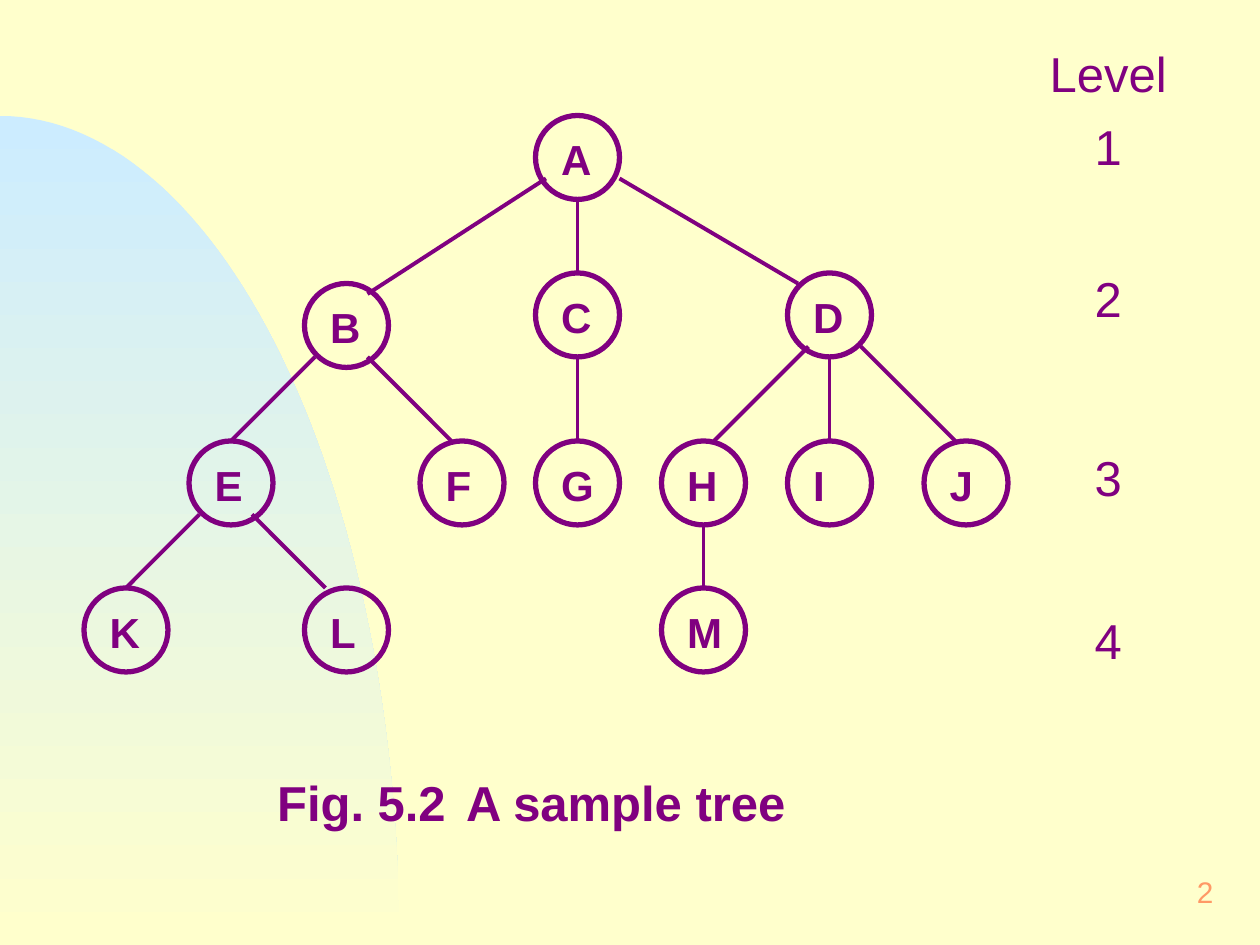
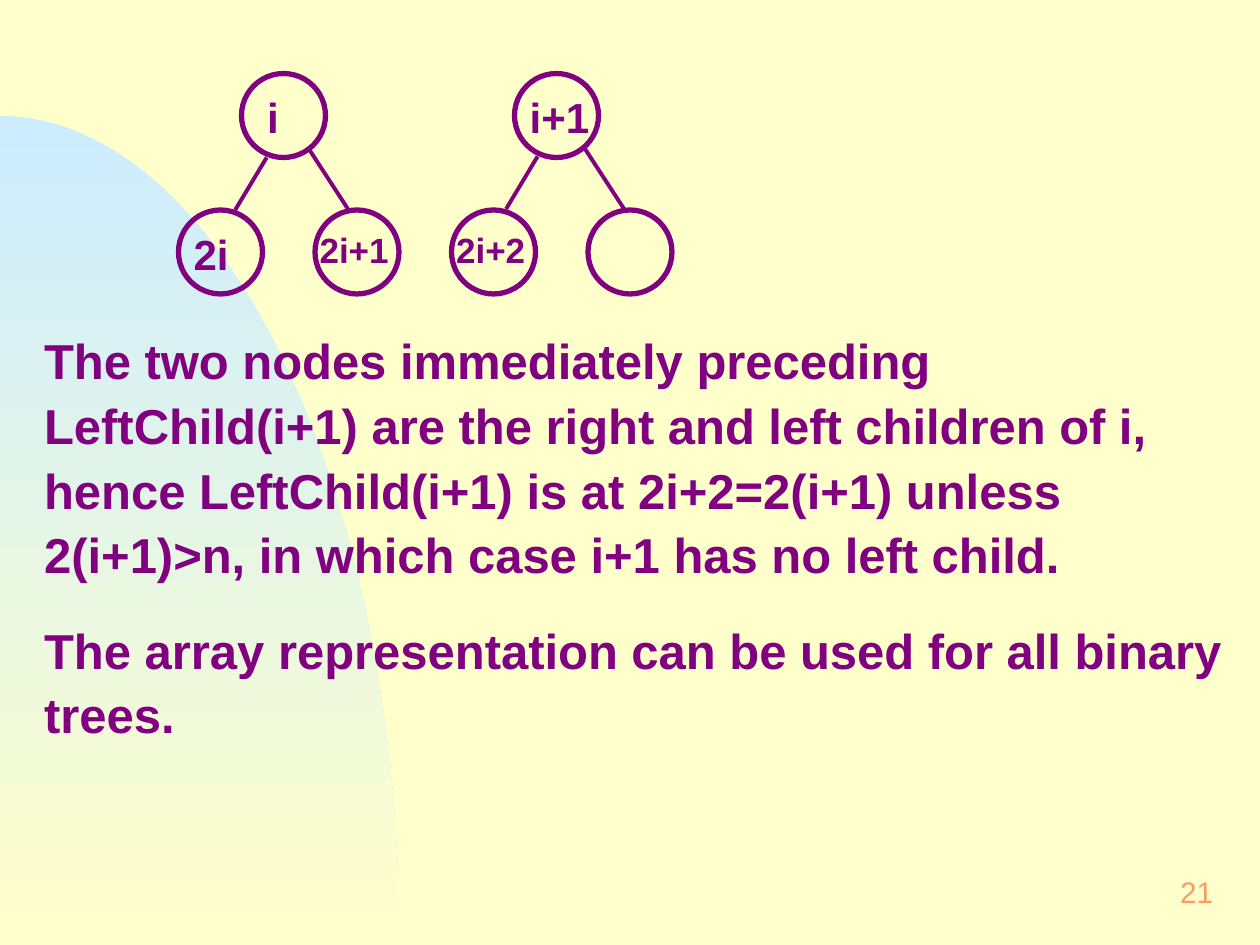
import math
from lxml import etree
from pptx import Presentation
from pptx import util as u
from pptx.dml.color import RGBColor
from pptx.enum import shapes, text
from pptx.oxml.ns import qn

# ---- Content; diagram positions are in cells of 1/12 inch ----
# label: (column, row)
SAMPLE_NODES = {
    "A": (51, 11), "B": (29, 27), "C": (51, 26), "D": (75, 26),
    "E": (18, 42), "F": (40, 42), "G": (51, 42), "H": (63, 42),
    "I": (75, 42), "J": (88, 42), "K": (8, 56), "L": (29, 56), "M": (63, 56),
}
# parent, child, start within the parent, end within the child
SAMPLE_EDGES = [
    ("A", "B", (1, 6), (6, 1)), ("A", "C", (4, 8), (4, 0)),
    ("A", "D", (8, 6), (1, 1)), ("B", "E", (1, 7), (4, 0)),
    ("B", "F", (6, 7), (3, 0)), ("C", "G", (4, 8), (4, 0)),
    ("D", "H", (2, 7), (5, 0)), ("D", "I", (4, 8), (4, 0)),
    ("D", "J", (7, 7), (3, 0)), ("E", "K", (1, 7), (4, 0)),
    ("E", "L", (6, 7), (2, 0)), ("H", "M", (4, 8), (4, 0)),
]
CAPTION = "Fig. 5.2\tA sample tree"
LEVEL_ROWS = [("Level", 0.58), ("1", 0.58), ("", 0.63), ("2", 0.67),
              ("", 0.75), ("3", 0.67), ("", 0.62), ("4", 0.57)]

INDEX_NODES = {"i": (23, 7), "2i": (17, 20), "2i+1": (30, 20),
               "i+1": (49, 7), "2i+2": (43, 20), "": (56, 20)}
INDEX_EDGES = [
    ("i", "2i", (2.4, 8), (5.4, 0)), ("i", "2i+1", (6.3, 7), (3.2, 0)),
    ("i+1", "2i+2", (2.2, 7.9), (5.2, -0.1)), ("i+1", "", (6.6, 7), (3.5, 0)),
]
PROOF = [
    "The two nodes immediately preceding LeftChild(i+1) are the right and left "
    "children of i, hence LeftChild(i+1) is at 2i+2=2(i+1) unless 2(i+1)>n, "
    "in which case i+1 has no left child.",
    "The array representation can be used for all binary trees.",
]

# ---- Shared look ----
W, H = 10, 7.5
CELL = 1 / 12
NODE = 8
PURPLE, ORANGE, CREAM, SKY = "800080", "FF9966", "FFFFCC", "CCECFF"
FONT = "Arial"
NO_GRID = "{2D5ABB26-0587-4C30-8999-92F81FD0307C}"


def color(hex_value):
    return RGBColor.from_string(hex_value)


def box(*lengths):
    return [u.Inches(n) for n in lengths]


def cells(*counts):
    return box(*(n * CELL for n in counts))


def write(tf, lines, size=28, bold=True, ink=PURPLE, align=text.PP_ALIGN.LEFT,
          anchor=text.MSO_ANCHOR.TOP, inset=(0.12, 0.06), before=0, spacing=1.0,
          tab=None):
    """Fill a text frame with one paragraph per line."""
    tf.word_wrap = True
    tf.auto_size = text.MSO_AUTO_SIZE.NONE
    tf.vertical_anchor = anchor
    tf.margin_left = tf.margin_right = u.Inches(inset[0])
    tf.margin_top = tf.margin_bottom = u.Inches(inset[1])
    for n, line in enumerate(lines):
        p = tf.add_paragraph() if n else tf.paragraphs[0]
        ppr = p._p.get_or_add_pPr()
        ppr.set("marL", "0")
        ppr.set("indent", "0")
        etree.SubElement(ppr, qn("a:buNone"))
        if tab:
            tabs = etree.SubElement(ppr, qn("a:tabLst"))
            etree.SubElement(tabs, qn("a:tab"), pos=str(u.Inches(tab)), algn="l")
        p.alignment = align
        p.line_spacing = spacing
        p.space_before = u.Pt(before if n else 0)
        r = p.add_run()
        r.text = line
        r.font.name, r.font.size, r.font.bold = FONT, u.Pt(size), bold
        r.font.color.rgb = color(ink)


def place(sp, *lengths):
    sp.left, sp.top, sp.width, sp.height = box(*lengths)
    return sp.text_frame


def style_master(prs, s):
    """Put the background and the quarter ellipse on the master."""
    master = prs.slide_master
    master.background.fill.solid()
    master.background.fill.fore_color.rgb = color(CREAM)
    rx, ry, steps = 3.17, 6.58, 60
    arc = [(rx * math.sin(a), H - ry * math.cos(a))
           for a in (math.pi / 2 * k / steps for k in range(steps + 1))]
    builder = s.shapes.build_freeform(0, u.Inches(H))
    builder.add_line_segments([box(*point) for point in arc], close=True)
    hill = builder.convert_to_shape()
    hill.shadow.inherit = False
    hill.line.fill.background()
    hill.fill.gradient()
    hill.fill.gradient_angle = 270
    for stop, ink, position in zip(hill.fill.gradient_stops, (SKY, CREAM), (0, 1)):
        stop.color.rgb = color(ink)
        stop.position = position
    master.shapes.element.insert(2, hill.element)


def add_number(s, number):
    sp = s.shapes.add_textbox(*box(7.67, 6.83, 2.08, 0.5))
    write(sp.text_frame, [number], size=17, bold=False, ink=ORANGE,
          align=text.PP_ALIGN.RIGHT, anchor=text.MSO_ANCHOR.MIDDLE)


def add_node(s, label, col, row):
    sp = s.shapes.add_shape(shapes.MSO_SHAPE.OVAL, *cells(col, row, NODE, NODE))
    sp.shadow.inherit = False
    sp.fill.background()
    sp.line.color.rgb = color(PURPLE)
    sp.line.width = u.Pt(3)
    if label:
        # Longer labels start further left and get a wider box
        shift, width, size = {1: (1, 6, 24), 2: (0, 9, 24), 3: (0, 9, 24),
                              4: (-1, 12, 20)}[len(label)]
        tb = s.shapes.add_textbox(*cells(col + shift, row + 1, width, 6.2))
        write(tb.text_frame, [label], size=size)


def add_tree(s, nodes, edges):
    for label, (col, row) in nodes.items():
        add_node(s, label, col, row)
    for parent, child, start, end in edges:
        ends = [at + offset for name, offsets in ((parent, start), (child, end))
                for at, offset in zip(nodes[name], offsets)]
        line = s.shapes.add_connector(shapes.MSO_CONNECTOR.STRAIGHT, *cells(*ends))
        line.line.color.rgb = color(PURPLE)
        line.line.width = u.Pt(2.25)
        etree.SubElement(line.element.spPr, qn("a:effectLst"))


def add_levels(s):
    total = sum(height for _, height in LEVEL_ROWS)
    frame = s.shapes.add_table(len(LEVEL_ROWS), 1, *box(8.17, 0.33, 1.25, total))
    next(frame.element.iter(qn("a:tableStyleId"))).text = NO_GRID
    table = frame.table
    table.first_row = table.horz_banding = False
    for n, (label, height) in enumerate(LEVEL_ROWS):
        table.rows[n].height = u.Inches(height)
        cell = table.cell(n, 0)
        cell.fill.background()
        if label:
            write(cell.text_frame, [label], bold=False,
                  align=text.PP_ALIGN.CENTER, inset=(0.1, 0.05))
        cell.margin_left = cell.margin_right = u.Inches(0.1)
        cell.margin_top = cell.margin_bottom = u.Inches(0.05)
        cell.vertical_anchor = text.MSO_ANCHOR.TOP


def main():
    prs = Presentation()
    prs.slide_width, prs.slide_height = box(W, H)

    # Sample tree with its levels
    s = prs.slides.add_slide(prs.slide_layouts[5])
    style_master(prs, s)
    add_number(s, "2")
    write(place(s.shapes.title, 2.08, 6.07, 6.17, 0.59), [CAPTION], tab=1.55)
    add_tree(s, SAMPLE_NODES, SAMPLE_EDGES)
    add_levels(s)

    # Array positions of children
    s = prs.slides.add_slide(prs.slide_layouts[1])
    title = s.shapes.title.element
    title.getparent().remove(title)
    add_number(s, "21")
    write(place(s.placeholders[1], 0.25, 2.53, 9.58, 3.43), PROOF,
          inset=(0.1, 0.05), before=17.5, spacing=1.1)
    add_tree(s, INDEX_NODES, INDEX_EDGES)

    prs.save("out.pptx")


if __name__ == "__main__":
    main()
